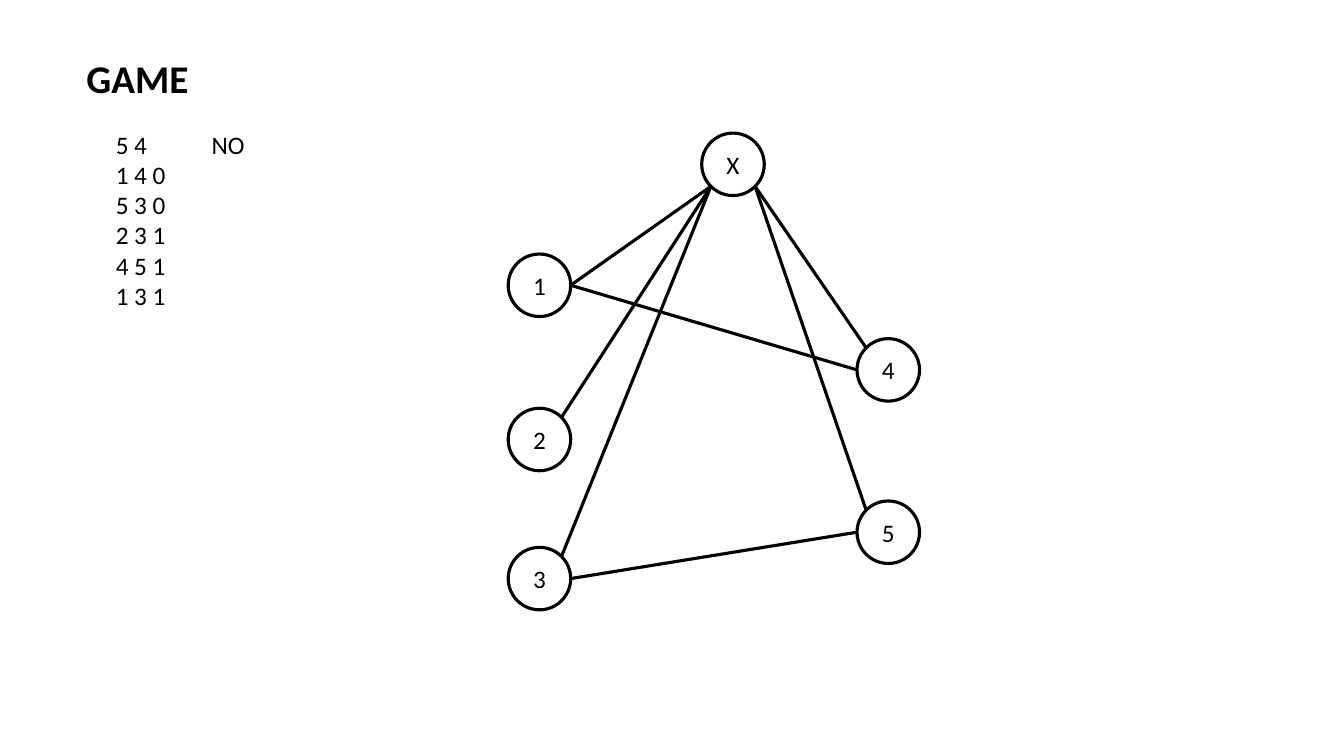
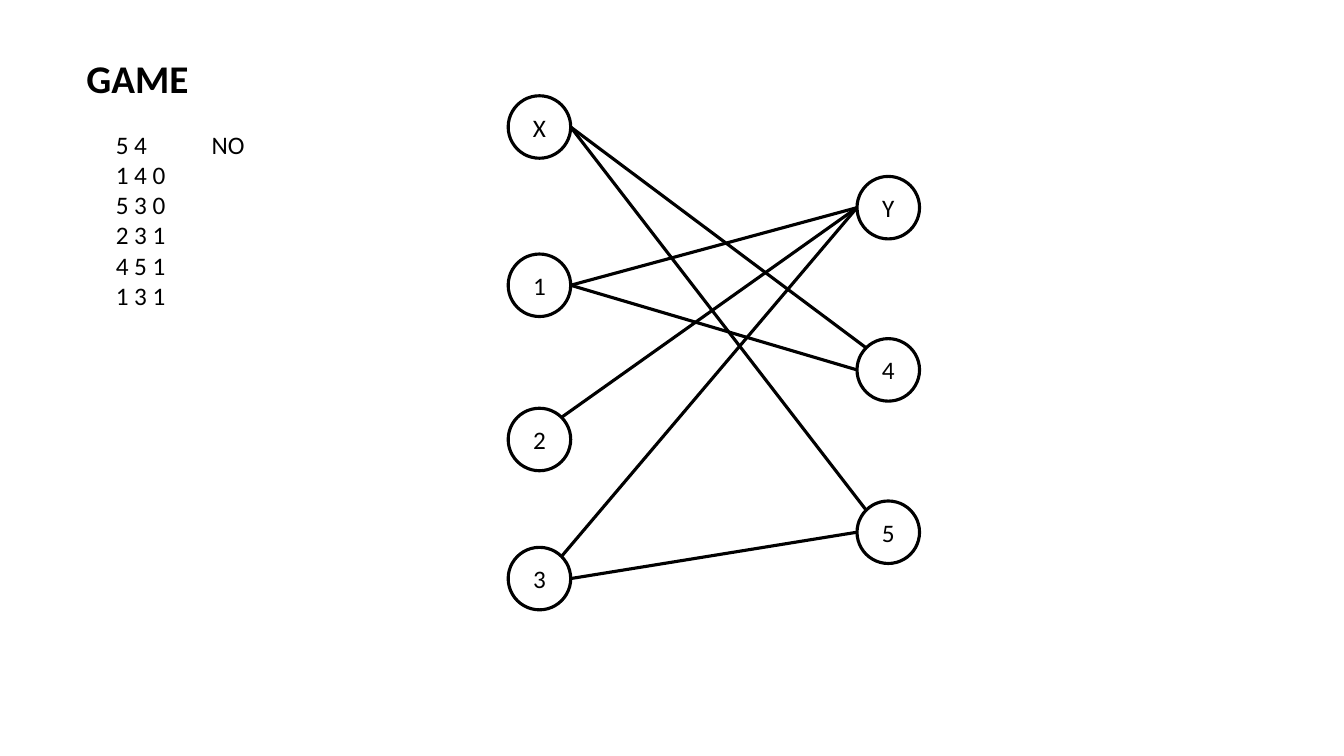
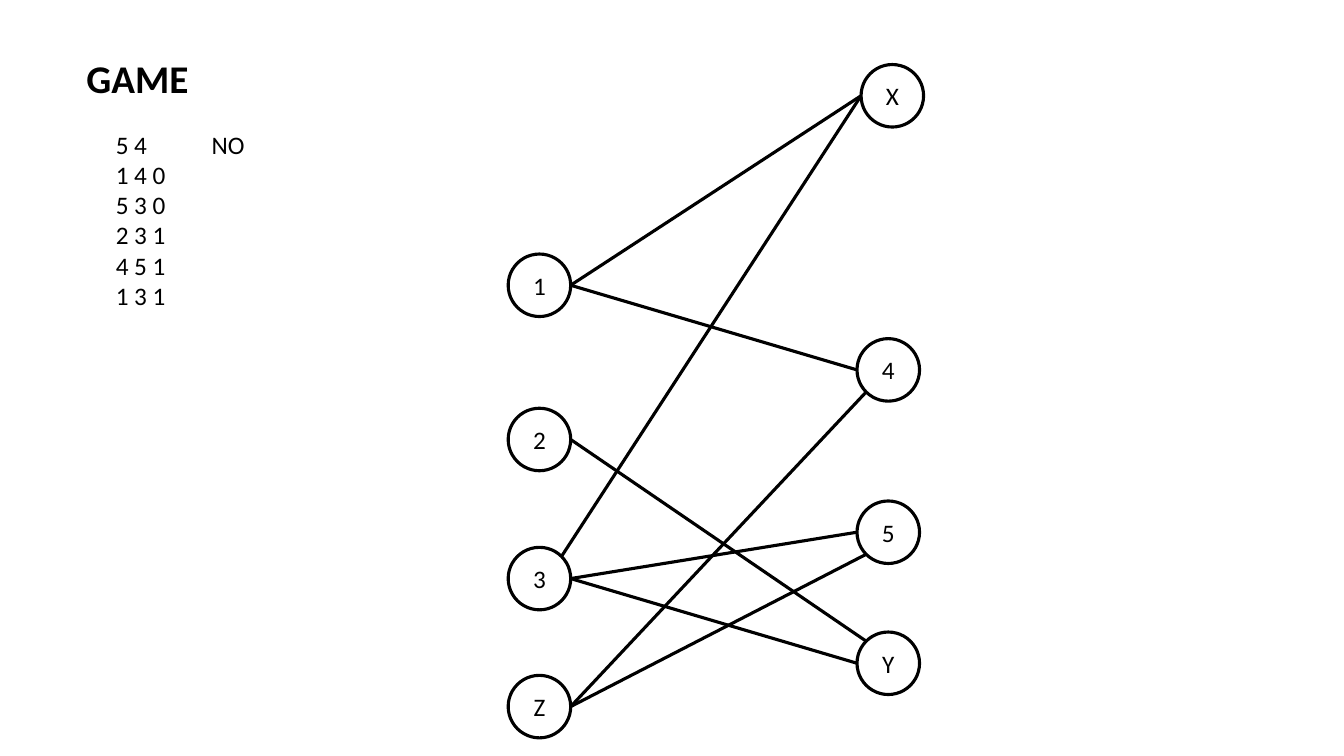
import math
import lxml.etree
import pptx
import pptx.dml.color
import pptx.enum.shapes
import pptx.enum.text
import pptx.oxml.ns
import pptx.util

Inches = pptx.util.Inches

# Shared content and style
TITLE = "GAME"
INPUT_LINES = ["5 4", "1 4 0", "5 3 0", "2 3 1", "4 5 1", "1 3 1"]
ANSWER = "NO"
FONT = "Calibri"
INK = "000000"
LINE_WIDTH = 2.25
NODE_SIZE = 0.62
LEFT_COLUMN, RIGHT_COLUMN = 5.04, 8.5

# Connection sites of an ellipse, numbered counterclockwise from the top
SITES = ["top", "top left", "left", "bottom left",
         "bottom", "bottom right", "right", "top right"]

# Nodes (left, top) and edges (node, site, node, site) found on every slide
COMMON_NODES = {
    "1": (LEFT_COLUMN, 2.52),
    "2": (LEFT_COLUMN, 4.05),
    "3": (LEFT_COLUMN, 5.43),
    "4": (RIGHT_COLUMN, 3.36),
    "5": (RIGHT_COLUMN, 4.97),
}
COMMON_EDGES = [("1", "right", "4", "left"), ("5", "left", "3", "right")]

# Extra nodes and edges of each slide
GRAPHS = [
    {
        "nodes": {"X": (6.96, 1.32)},
        "edges": [
            ("2", "top right", "X", "bottom left"),
            ("3", "top right", "X", "bottom left"),
            ("5", "top left", "X", "bottom right"),
            ("4", "top left", "X", "bottom right"),
            ("1", "right", "X", "bottom left"),
        ],
    },
    {
        "nodes": {"Y": (RIGHT_COLUMN, 1.75), "X": (LEFT_COLUMN, 0.95)},
        "edges": [
            ("1", "right", "Y", "left"),
            ("2", "top right", "Y", "left"),
            ("3", "top right", "Y", "left"),
            ("4", "top left", "X", "right"),
            ("5", "top left", "X", "right"),
        ],
    },
    {
        "nodes": {"Y": (RIGHT_COLUMN, 6.27), "Z": (LEFT_COLUMN, 6.7),
                  "X": (8.54, 0.64)},
        "edges": [
            ("Z", "right", "5", "bottom left"),
            ("4", "bottom left", "Z", "right"),
            ("2", "right", "Y", "top left"),
            ("3", "right", "Y", "left"),
            ("1", "right", "X", "left"),
            ("3", "top right", "X", "left"),
        ],
    },
]


def color(value):
    return pptx.dml.color.RGBColor.from_string(value)


def style_text(text_frame, size, bold=False):
    for paragraph in text_frame.paragraphs:
        for run in paragraph.runs:
            run.font.name = FONT
            run.font.size = pptx.util.Pt(size)
            run.font.bold = bold
            run.font.color.rgb = color(INK)


def style_line(shape):
    shape.line.color.rgb = color(INK)
    shape.line.width = pptx.util.Pt(LINE_WIDTH)


def add_text(slide, text, left, top, width, height, size=18, bold=False):
    box = slide.shapes.add_textbox(*map(Inches, (left, top, width, height)))
    frame = box.text_frame
    frame.word_wrap = True
    frame.auto_size = pptx.enum.text.MSO_AUTO_SIZE.SHAPE_TO_FIT_TEXT
    frame.text = text
    style_text(frame, size, bold)


def add_node(slide, label, left, top):
    node = slide.shapes.add_shape(
        pptx.enum.shapes.MSO_SHAPE.OVAL,
        *map(Inches, (left, top, NODE_SIZE, NODE_SIZE)))
    node.shadow.inherit = False
    node.fill.background()
    style_line(node)
    frame = node.text_frame
    frame.text = label
    frame.vertical_anchor = pptx.enum.text.MSO_ANCHOR.MIDDLE
    frame.paragraphs[0].alignment = pptx.enum.text.PP_ALIGN.CENTER
    style_text(frame, 18)
    return node


def site_point(node, site):
    angle = SITES.index(site) * math.pi / 4
    radius = node.width / 2
    return (round(node.left + radius - radius * math.sin(angle)),
            round(node.top + radius - radius * math.cos(angle)))


def add_edge(slide, start, start_site, end, end_site):
    edge = slide.shapes.add_connector(
        pptx.enum.shapes.MSO_CONNECTOR.STRAIGHT,
        *site_point(start, start_site), *site_point(end, end_site))
    style_line(edge)
    qn = pptx.oxml.ns.qn
    lxml.etree.SubElement(edge.element.spPr, qn("a:effectLst"))
    # Attach both ends to the nodes
    links = edge.element.find(".//" + qn("p:cNvCxnSpPr"))
    for tag, node, site in (("a:stCxn", start, start_site),
                            ("a:endCxn", end, end_site)):
        lxml.etree.SubElement(links, qn(tag), id=str(node.shape_id),
                              idx=str(SITES.index(site)))


def add_graph_slide(presentation, graph):
    slide = presentation.slides.add_slide(presentation.slide_layouts[6])
    add_text(slide, TITLE, 0.76, 0.49, 2.86, 0.57, size=28, bold=True)
    add_text(slide, "\n".join(INPUT_LINES), 1.05, 1.23, 1.9, 2.22)
    add_text(slide, ANSWER, 2, 1.23, 1.43, 0.4)
    positions = {**COMMON_NODES, **graph["nodes"]}
    nodes = {label: add_node(slide, label, *position)
             for label, position in positions.items()}
    for start, start_site, end, end_site in COMMON_EDGES + graph["edges"]:
        add_edge(slide, nodes[start], start_site, nodes[end], end_site)


def main():
    presentation = pptx.Presentation()
    presentation.slide_width = Inches(13.33)
    presentation.slide_height = Inches(7.5)
    for graph in GRAPHS:
        add_graph_slide(presentation, graph)
    presentation.save("out.pptx")


if __name__ == "__main__":
    main()
